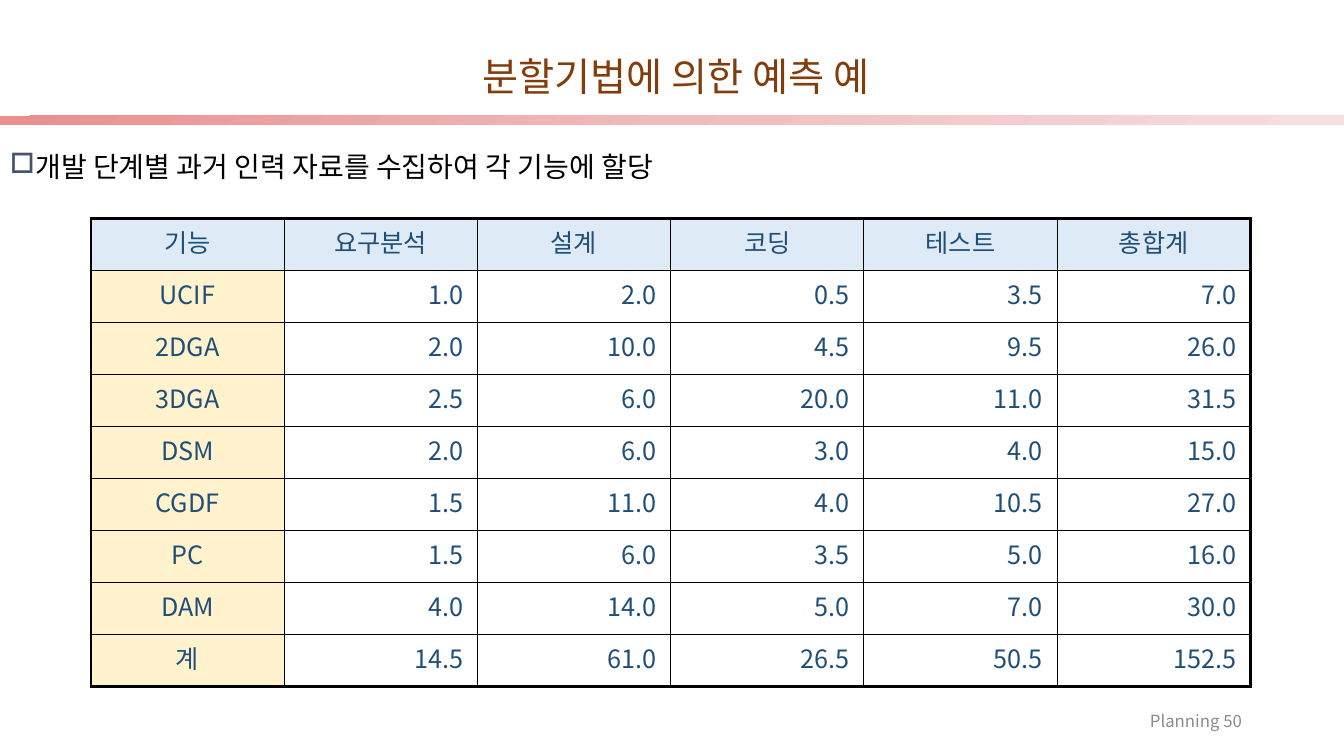
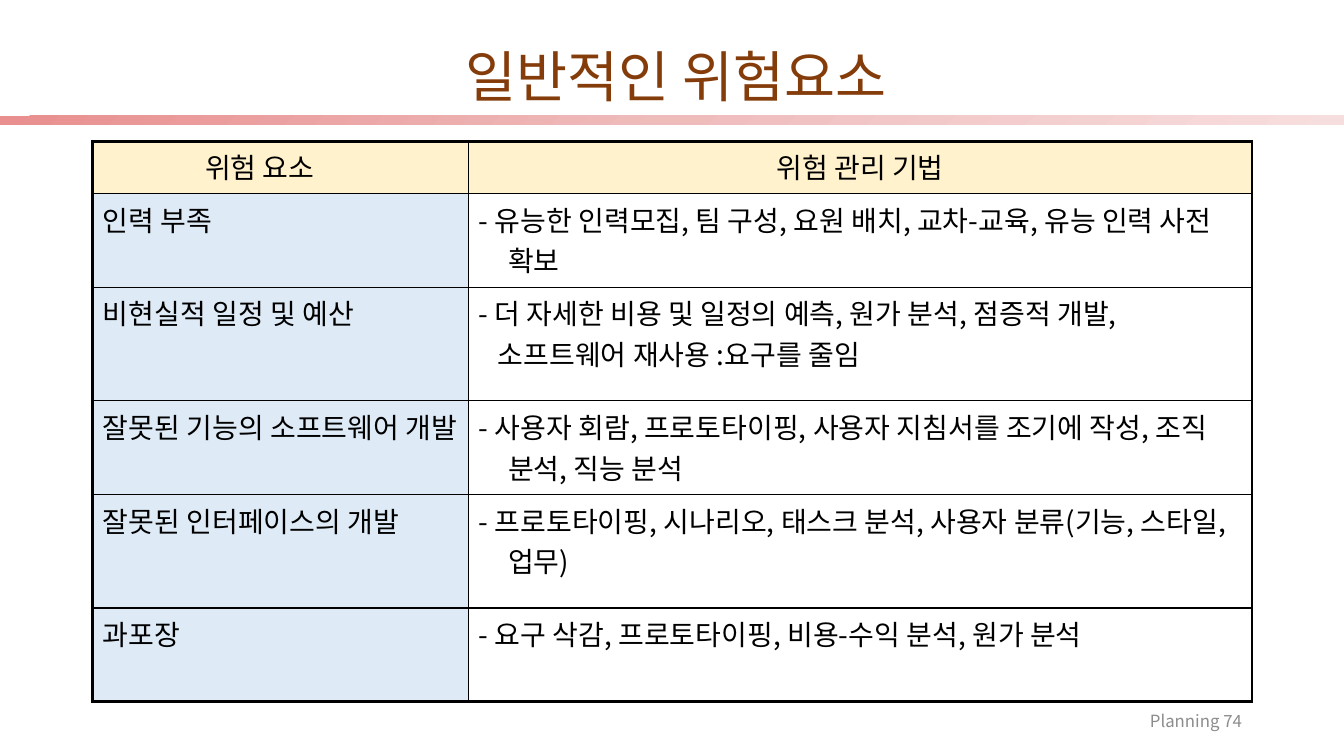
from copy import deepcopy

from lxml import etree
from pptx import Presentation
from pptx.dml.color import RGBColor
from pptx.enum.shapes import MSO_SHAPE
from pptx.enum.text import MSO_ANCHOR, MSO_AUTO_SIZE, PP_ALIGN
from pptx.oxml.ns import qn
from pptx.util import Cm, Pt

LEFT, CENTER, RIGHT = PP_ALIGN.LEFT, PP_ALIGN.CENTER, PP_ALIGN.RIGHT
MIDDLE = MSO_ANCHOR.MIDDLE
NO_AUTOFIT = MSO_AUTO_SIZE.NONE
RECTANGLE = MSO_SHAPE.RECTANGLE

FONT = "Noto Sans CJK KR"
BLACK = RGBColor(0x00, 0x00, 0x00)
WHITE = RGBColor(0xFF, 0xFF, 0xFF)
BROWN = RGBColor(0x84, 0x3C, 0x0B)
NAVY = RGBColor(0x1F, 0x4E, 0x79)
SLATE = RGBColor(0x44, 0x54, 0x6A)
GRAY = RGBColor(0x8C, 0x8C, 0x8C)
PALE_BLUE = RGBColor(0xDE, 0xEB, 0xF7)
CREAM = RGBColor(0xFF, 0xF2, 0xCC)
BAND_COLORS = (RGBColor(0xE9, 0x8F, 0x8F), RGBColor(0xEF, 0xBC, 0xBC), RGBColor(0xF7, 0xDE, 0xDE))

THICK, THIN = Pt(2.25), Pt(1)

PAGES = [
    ("분할기법에 의한 예측 예", 28, "Planning 50"),
    ("일반적인 위험요소", 39.6, "Planning 74"),
]
EFFORT = [
    ("기능", "요구분석", "설계", "코딩", "테스트", "총합계"),
    ("UCIF", "1.0", "2.0", "0.5", "3.5", "7.0"),
    ("2DGA", "2.0", "10.0", "4.5", "9.5", "26.0"),
    ("3DGA", "2.5", "6.0", "20.0", "11.0", "31.5"),
    ("DSM", "2.0", "6.0", "3.0", "4.0", "15.0"),
    ("CGDF", "1.5", "11.0", "4.0", "10.5", "27.0"),
    ("PC", "1.5", "6.0", "3.5", "5.0", "16.0"),
    ("DAM", "4.0", "14.0", "5.0", "7.0", "30.0"),
    ("계", "14.5", "61.0", "26.5", "50.5", "152.5"),
]
RISKS = [
    ("위험 요소\t", "위험 관리 기법"),
    ("인력 부족", "- 유능한 인력모집, 팀 구성, 요원 배치, 교차-교육, 유능 인력 사전 확보"),
    ("비현실적 일정 및 예산",
     "- 더 자세한 비용 및 일정의 예측, 원가 분석, 점증적 개발, 소프트웨어 재사용 :요구를 줄임"),
    ("잘못된 기능의 소프트웨어 개발",
     "- 사용자 회람, 프로토타이핑, 사용자 지침서를 조기에 작성, 조직 분석, 직능 분석"),
    ("잘못된 인터페이스의 개발",
     "- 프로토타이핑, 시나리오, 태스크 분석, 사용자 분류(기능, 스타일, 업무)"),
    ("과포장", "- 요구 삭감, 프로토타이핑, 비용-수익 분석, 원가 분석"),
]


def write(frame, text, size, color=BLACK, align=LEFT, line_spacing=None, hanging=0, bullet=None):
    paragraph = frame.paragraphs[0]
    paragraph.alignment = align
    if line_spacing:
        paragraph.line_spacing = line_spacing
    properties = paragraph._p.get_or_add_pPr()
    if hanging:
        properties.set("marL", str(hanging))
        properties.set("indent", str(-hanging))
    if bullet:
        bullet_color = etree.SubElement(properties, qn("a:buClr"))
        etree.SubElement(bullet_color, qn("a:srgbClr"), val=str(SLATE))
        etree.SubElement(properties, qn("a:buChar"), char=bullet)
    run = paragraph.add_run()
    run.text = text
    run.font.size = Pt(size)
    run.font.color.rgb = color
    run.font.name = FONT
    etree.SubElement(run.font._element, qn("a:ea"), typeface=FONT)


def add_grid(slide, left, top, widths, heights):
    table = slide.shapes.add_table(
        len(heights), len(widths), left, top, sum(widths), sum(heights)).table
    table.first_row = False
    table.horz_banding = False
    for column, width in zip(table.columns, widths):
        column.width = width
    for row, height in zip(table.rows, heights):
        row.height = height
    last_row, last_column = len(heights) - 1, len(widths) - 1
    for r, row in enumerate(table.rows):
        for c, cell in enumerate(row.cells):
            properties = cell._tc.get_or_add_tcPr()
            outer_edges = {"L": c == 0, "R": c == last_column, "T": r == 0, "B": r == last_row}
            for side, is_outer in outer_edges.items():
                line = etree.SubElement(
                    properties, qn(f"a:ln{side}"), w=str(THICK if is_outer else THIN))
                fill = etree.SubElement(line, qn("a:solidFill"))
                etree.SubElement(fill, qn("a:srgbClr"), val=str(BLACK))
            cell.fill.solid()
            cell.fill.fore_color.rgb = WHITE
    return table


prs = Presentation()
prs.slide_width, prs.slide_height = Cm(33.87), Cm(19.05)
layout = prs.slide_layouts[5]

slides = []
for heading, heading_size, page_label in PAGES:
    slide = prs.slides.add_slide(layout)
    slides.append(slide)
    title = slide.shapes.title
    title.left, title.top, title.width, title.height = Cm(1.52), Cm(1.22), Cm(31.04), Cm(1.55)
    title.text_frame.auto_size = NO_AUTOFIT
    title.text_frame.vertical_anchor = MIDDLE
    write(title.text_frame, heading, heading_size, BROWN, CENTER, line_spacing=0.9)

    footer = slide.shapes.add_textbox(Cm(23.93), Cm(17.65), Cm(7.62), Cm(1.02)).text_frame
    footer.word_wrap = True
    footer.vertical_anchor = MIDDLE
    write(footer, page_label, 12, GRAY, RIGHT)

effort_slide, risk_slide = slides

band = effort_slide.shapes.add_shape(RECTANGLE, 0, Cm(2.92), prs.slide_width, Cm(0.23))
band.shadow.inherit = False
band.line.fill.background()
band.fill.gradient()
band.fill.gradient_angle = 315
first_stop = next(band.element.iter(qn("a:gs")))
middle_stop = deepcopy(first_stop)
middle_stop.set("pos", "50000")
first_stop.addnext(middle_stop)
for stop, color in zip(band.fill.gradient_stops, BAND_COLORS):
    stop.color.rgb = color
layout.shapes.element.append(band.element)

summary = effort_slide.shapes.add_textbox(0, Cm(3.73), Cm(21.87), Cm(14.73)).text_frame
summary.word_wrap = True
write(summary, "개발 단계별 과거 인력 자료를 수집하여 각 기능에 할당", 20,
      line_spacing=0.9, hanging=Cm(0.64), bullet="□")

effort_table = add_grid(effort_slide, Cm(2.29), Cm(5.51), [Cm(4.87)] * 6, [Cm(1.31)] * 9)
for r, values in enumerate(EFFORT):
    for c, value in enumerate(values):
        cell = effort_table.cell(r, c)
        cell.margin_left = cell.margin_right = Cm(0.36)
        is_label = r == 0 or c == 0
        if is_label:
            cell.fill.fore_color.rgb = PALE_BLUE if r == 0 else CREAM
        write(cell.text_frame, value, 18, NAVY, CENTER if is_label else RIGHT)

risk_heights = [Cm(h) for h in (1.32, 2.36, 2.86, 2.36, 2.86, 2.36)]
risk_table = add_grid(risk_slide, Cm(2.34), Cm(3.56), [Cm(9.47), Cm(19.74)], risk_heights)
for r, (risk, response) in enumerate(RISKS):
    risk_cell, response_cell = risk_table.rows[r].cells
    risk_cell.fill.fore_color.rgb = PALE_BLUE
    align, hanging = LEFT, Cm(0.48 if r == 2 else 0.74)
    if r == 0:
        risk_cell.fill.fore_color.rgb = response_cell.fill.fore_color.rgb = CREAM
        align, hanging = CENTER, 0
    write(risk_cell.text_frame, risk, 20, align=align)
    write(response_cell.text_frame, response, 20, align=align, hanging=hanging)

prs.save("out.pptx")
